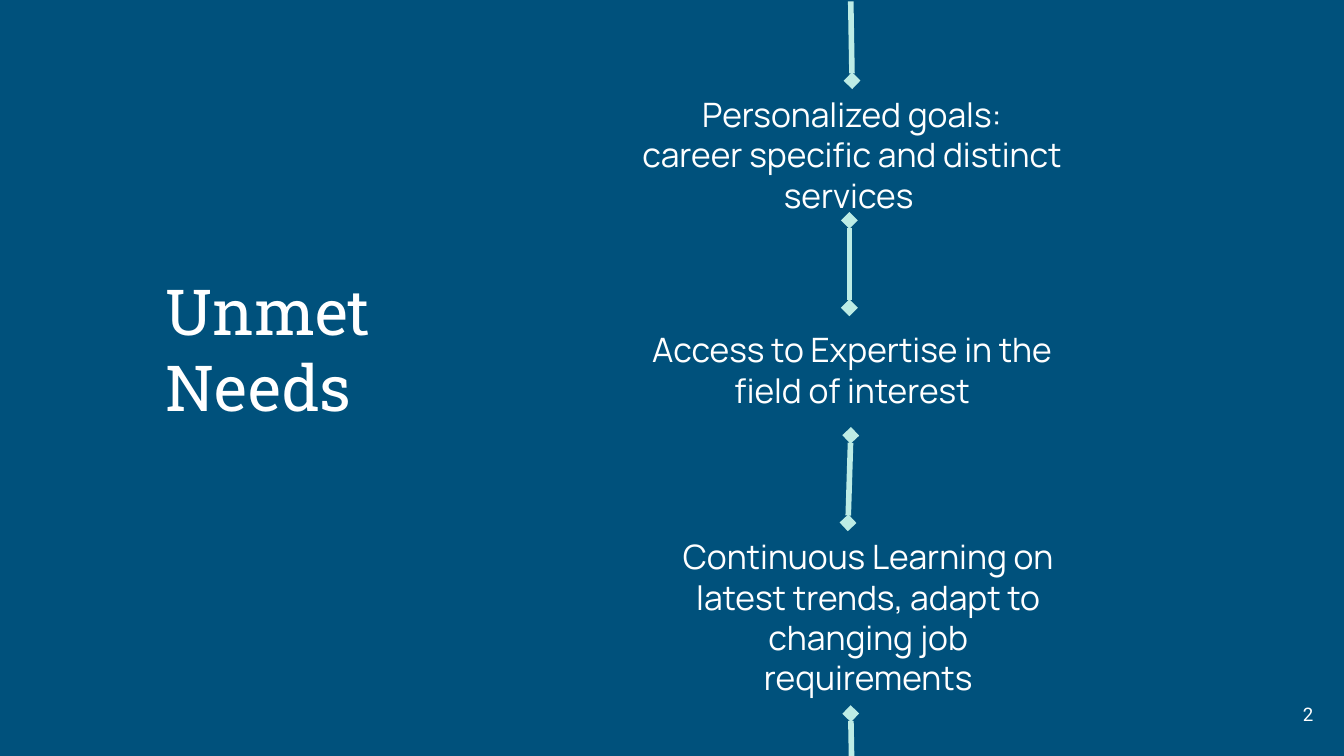
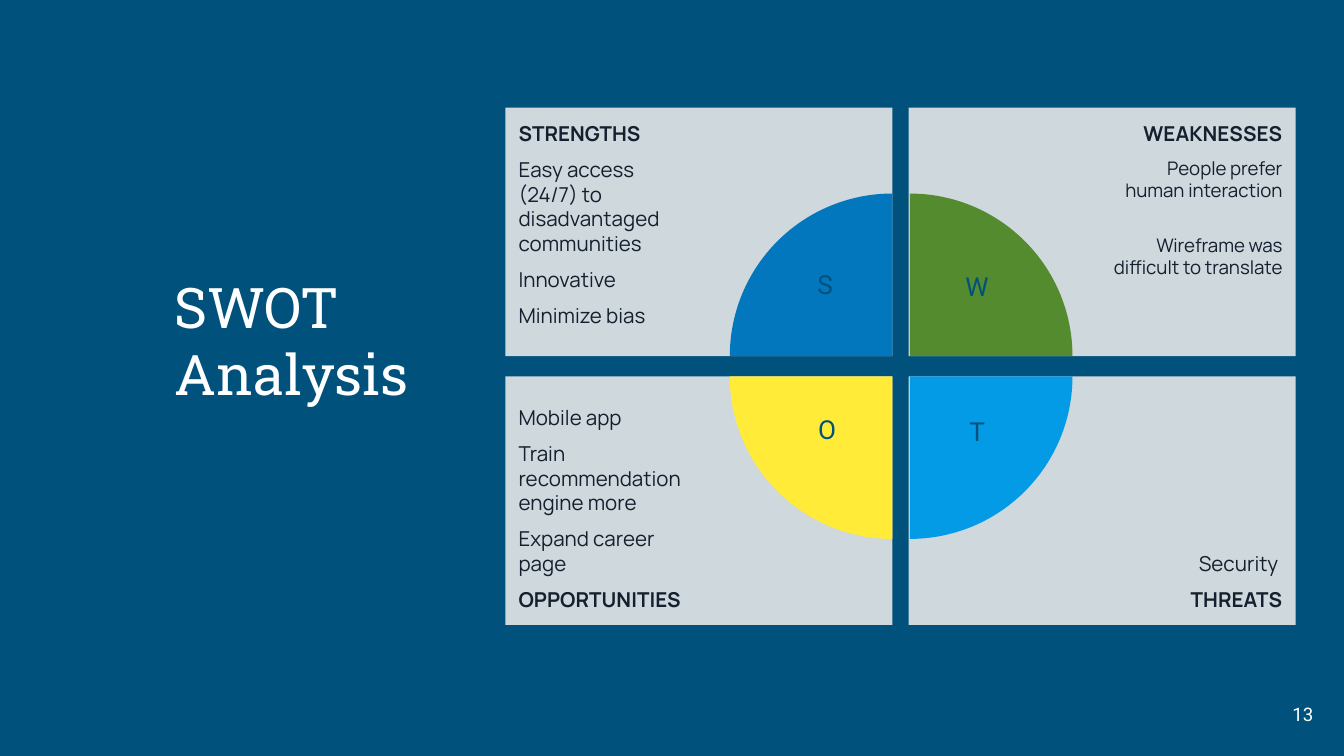
from lxml.etree import SubElement
from pptx import Presentation
from pptx.dml.color import RGBColor
from pptx.enum.shapes import MSO_CONNECTOR, MSO_SHAPE
from pptx.enum.text import MSO_ANCHOR, MSO_AUTO_SIZE, PP_ALIGN
from pptx.oxml.ns import qn
from pptx.util import Inches, Pt

# Shared style
NAVY, WHITE, MINT = "00517C", "FFFFFF", "BDECE5"
PANEL, INK = "CFD8DC", "141F2F"
TITLE_FONT, BODY_FONT, LABEL_FONT = "Roboto Slab", "Manrope", "Roboto"
LEFT, CENTER, RIGHT = PP_ALIGN.LEFT, PP_ALIGN.CENTER, PP_ALIGN.RIGHT
TOP, MIDDLE, BOTTOM = MSO_ANCHOR.TOP, MSO_ANCHOR.MIDDLE, MSO_ANCHOR.BOTTOM


def rgb(color):
    return RGBColor.from_string(color)


def box(*lengths):
    return [Inches(n) for n in lengths]


def set_frame(tf, anchor, insets=(0.1, 0.1, 0.1, 0.1)):
    tf.word_wrap = True
    tf.auto_size = MSO_AUTO_SIZE.NONE
    tf.vertical_anchor = anchor
    (tf.margin_left, tf.margin_top,
     tf.margin_right, tf.margin_bottom) = box(*insets)


def set_text(tf, text, size, font, color, align):
    tf.text = text
    for p in tf.paragraphs:
        p.alignment = align
        for r in p.runs:
            r.font.size = Pt(size)
            r.font.name = font
            r.font.color.rgb = rgb(color)


def add_text(s, at, text, size, font, color=WHITE, align=CENTER, anchor=TOP,
             insets=(0.1, 0.1, 0.1, 0.1)):
    tf = s.shapes.add_textbox(*box(*at)).text_frame
    set_frame(tf, anchor, insets)
    set_text(tf, text, size, font, color, align)


def add_slide(prs, title, at, size, number):
    """Slide with a left-hand title and its page number."""
    s = prs.slides.add_slide(prs.slide_layouts[5])
    sp = s.shapes.title
    sp.left, sp.top, sp.width, sp.height = box(*at)
    set_frame(sp.text_frame, BOTTOM)
    set_text(sp.text_frame, title, size, TITLE_FONT, WHITE, LEFT)
    add_text(s, (9.27, 5.1, 0.6, 0.43), number, 10, LABEL_FONT,
             align=RIGHT, anchor=MIDDLE)
    return s


def add_link(s, start, end, ends):
    """Mint line with a diamond at each of the named ends."""
    sp = s.shapes.add_connector(MSO_CONNECTOR.STRAIGHT, *box(*start, *end))
    sp.line.color.rgb = rgb(MINT)
    sp.line.width = Pt(3)
    ln = sp.line._get_or_add_ln()
    for end_name in ends:
        SubElement(ln, qn(f"a:{end_name}"), type="diamond")
    SubElement(sp._element.spPr, qn("a:effectLst"))


def add_filled(s, kind, at, color):
    sp = s.shapes.add_shape(kind, *box(*at))
    sp.shadow.inherit = False
    sp.fill.solid()
    sp.fill.fore_color.rgb = rgb(color)
    sp.line.fill.background()
    return sp


def add_panel(s, col, row, heading, items, size=11, gap=6):
    """SWOT panel: heading on the outer edge, text kept clear of the pie."""
    sp = add_filled(s, MSO_SHAPE.RECTANGLE,
                    (3.76 + 3 * col, 0.8 + 2 * row, 2.88, 1.85), PANEL)
    tf = sp.text_frame
    insets = (1.5, 0.1, 0.1, 0.1) if col else (0.1, 0.1, 1.5, 0.1)
    set_frame(tf, BOTTOM if row else TOP, insets)
    lines = items + [heading] if row else [heading] + items
    set_text(tf, "\n".join(lines), size, BODY_FONT, INK,
             RIGHT if col else LEFT)
    for i, p in enumerate(tf.paragraphs):
        if i:
            p.space_before = Pt(6 if i == 1 else gap)
        if p.text == heading:
            p.runs[0].font.bold = True
            p.runs[0].font.size = Pt(11)


def add_quarter(s, col, row, turn, color):
    """Top-left quarter of a circle, turned into its place."""
    sp = add_filled(s, MSO_SHAPE.PIE,
                    (5.43 + 0.13 * col, 1.44 + 0.15 * row, 2.42, 2.42), color)
    # 0.6 per degree: from 180 to 270 degrees
    sp.adjustments[0] = 180 * 0.6
    sp.adjustments[1] = 270 * 0.6
    sp.rotation = turn


def build_needs(prs):
    s = add_slide(prs, "Unmet\nNeeds", (1.13, 1.17, 1.76, 2.09), 34, "2")
    # Chain running down the slide
    head, tail = "headEnd", "tailEnd"
    for start, end, ends in [
        ((6.33, 0.01), (6.34, 0.6), [tail]),
        ((6.32, 1.64), (6.32, 2.29), [head, tail]),
        ((6.33, 3.24), (6.31, 3.89), [head, tail]),
        ((6.33, 5.31), (6.34, 5.84), [head]),
    ]:
        add_link(s, start, end, ends)
    # Needs between the links
    for at, text in [
        ((4.61, 0.6, 3.46, 0.86),
         "Personalized goals:\ncareer specific and distinct services "),
        ((4.73, 2.35, 3.22, 0.92),
         "Access to Expertise in the field of interest"),
        ((4.85, 3.89, 3.22, 0.92),
         "Continuous Learning on latest trends, adapt to changing job "
         "requirements"),
    ]:
        add_text(s, at, text, 18, BODY_FONT)


def build_swot(prs):
    s = add_slide(prs, "SWOT Analysis", (1.2, 1.15, 2.01, 1.98), 30, "13")
    # Panels
    add_panel(s, 0, 0, "STRENGTHS", [
        "Easy access (24/7) to disadvantaged communities",
        "Innovative", "Minimize bias"])
    add_panel(s, 1, 0, "WEAKNESSES", [
        "People prefer human interaction",
        "Wireframe was difficult to translate"], size=10, gap=17)
    add_panel(s, 0, 1, "OPPORTUNITIES", [
        "Mobile app", "Train recommendation engine more",
        "Expand career page"])
    add_panel(s, 1, 1, "THREATS", ["Security "])
    # Quarter circles, clockwise from the top left
    for i, (col, row, color) in enumerate([
        (0, 0, "0277BD"), (1, 0, "558B2F"),
        (1, 1, "039BE5"), (0, 1, "FFEB38"),
    ]):
        add_quarter(s, col, row, 90 * i, color)
    # Letters
    for letter, at in [("S", (5.95, 1.95, 0.38, 0.44)),
                       ("W", (6.96, 1.96, 0.62, 0.44)),
                       ("O", (5.95, 3.03, 0.41, 0.45)),
                       ("T", (7.08, 3.04, 0.38, 0.43))]:
        add_text(s, at, letter, 14, LABEL_FONT, NAVY,
                 insets=(0.1, 0.05, 0.1, 0.05))


def main():
    prs = Presentation()
    prs.slide_width, prs.slide_height = box(10, 10 * 9 / 16)
    fill = prs.slide_master.background.fill
    fill.solid()
    fill.fore_color.rgb = rgb(NAVY)
    build_needs(prs)
    build_swot(prs)
    prs.save("out.pptx")


if __name__ == "__main__":
    main()
